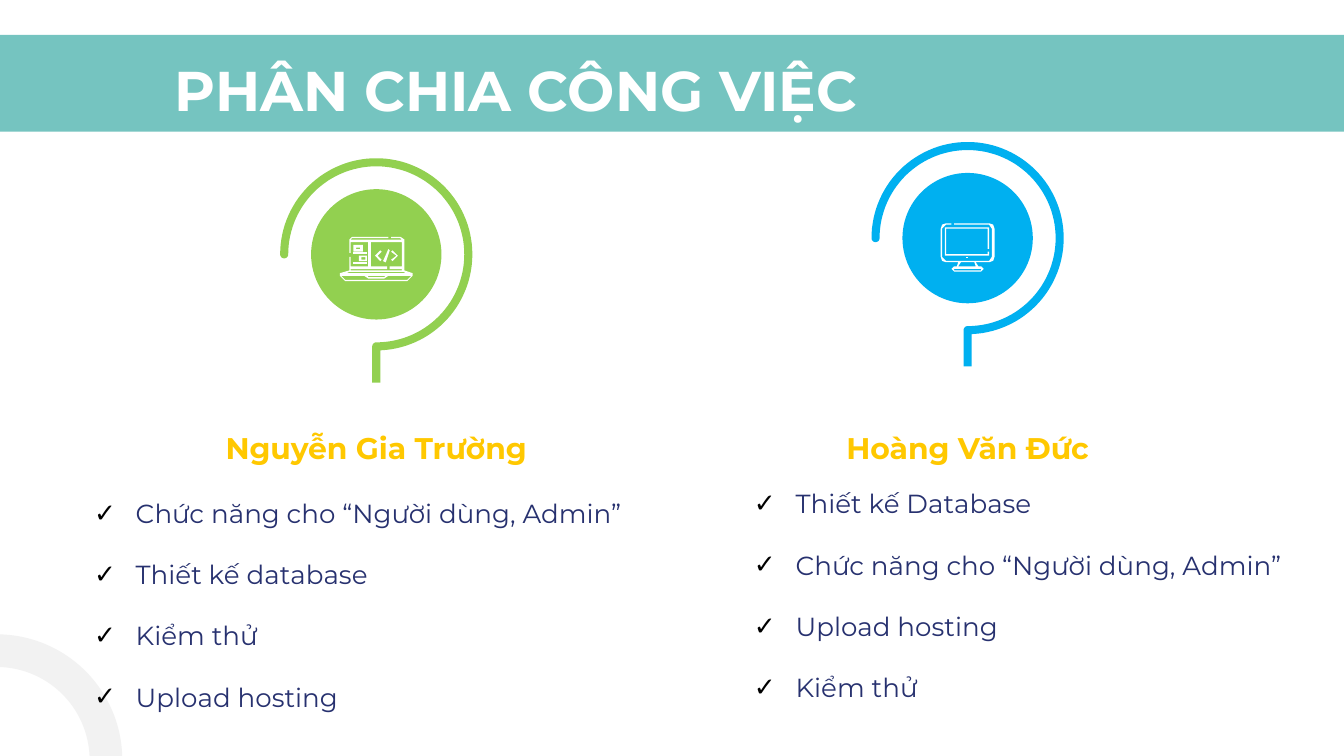
"""Build the slide that shows how the work is shared between two people."""
from math import cos, radians, sin

from lxml.etree import SubElement as Sub
from pptx import Presentation
from pptx.dml.color import RGBColor
from pptx.enum.shapes import MSO_SHAPE as Kind
from pptx.enum.text import MSO_ANCHOR as Anchor, MSO_AUTO_SIZE as Fit, PP_ALIGN as Align
from pptx.oxml.ns import qn
from pptx.util import Inches, Pt

COLS, ROWS = 100, 56.25

MONITOR = [
    [[(-16, -11), (-19, -10), (-20, -7), (-20, 14), (-19, 17), (-16, 18), (-7, 18),
      (-8, 21), (-10, 21), (-12, 23), (-10, 25), (10, 25), (12, 23), (10, 21),
      (8, 21), (6, 18), (16, 18), (19, 17), (20, 14), (20, -7), (19, -10),
      (16, -11), (-10, -11), (-10, -10), (16, -10), (18, -7), (18, 14), (16, 17),
      (-16, 17), (-19, 14), (-19, -7), (-16, -10), (-12, -10), (-12, -11)],
     [(5, 18), (6, 21), (-7, 21), (-5, 18)],
     [(10, 23), (10, 24), (-10, 24), (-10, 23)]],
    [[(-17, -8), (16, -8), (16, 8), (15, 8), (15, -7), (-16, -7), (-16, 12),
      (15, 12), (15, 10), (16, 10), (16, 13), (-17, 13)]],
    [[(-1, 14), (0, 14), (0, 15), (-1, 15)]],
]


def block(left, top, right, base):
    """Give the corners of an upright rectangle."""
    return [(left, top), (right, top), (right, base), (left, base)]


LAPTOP = [
    [[(-18, -13), (-20, -11), (-20, -1), (-19, -1), (-19, -9), (-6, -9), (-6, 9),
      (-19, 9), (-19, 2), (-20, 2), (-20, 12), (-27, 14), (-27, 16), (-23, 20),
      (23, 20), (27, 16), (27, 14), (21, 12), (21, -11), (18, -13), (11, -13),
      (11, -12), (18, -12), (19, -11), (-19, -11), (-18, -12), (9, -12), (9, -13)],
     [(19, -9), (19, 9), (10, 9), (10, 11), (19, 11), (19, 12), (-19, 12),
      (-19, 11), (8, 11), (8, 9), (-4, 9), (-4, -9)],
     [(20, 13), (22, 14), (-22, 14), (-20, 13)],
     [(7, 16), (6, 17), (-6, 17), (-6, 16)],
     [(26, 16), (23, 19), (-23, 19), (-26, 16), (-9, 16), (-6, 18), (6, 18), (9, 16)]],
    [block(-17, -7, -10, -2), block(-15, -5, -12, -4)],
    [block(-17, -2, -7, 0)],
    [block(-13, 1, -7, 5), block(-11, 2, -8, 4)],
    [block(-17, 6, -7, 7)],
    [[(3, -3), (-1, 1), (3, 5), (4, 4), (1, 1), (4, -2)]],
    [[(12, -3), (11, -2), (15, 1), (11, 4), (12, 5), (16, 1)]],
    [[(9, -4), (5, 5), (7, 6), (10, -3)]],
]


def tint(code):
    """Turn a hex string into a colour."""
    return RGBColor.from_string(code)


def arc(rad, start, stop, step, x=0, y=0):
    """List the points of an arc, angles in degrees clockwise from the right."""
    turns = (radians(deg) for deg in range(start, stop + step, step))
    return [(x + rad * cos(turn), y + rad * sin(turn)) for turn in turns]


class Deck:
    """Hold the style and the current slide."""

    face, ink, gold, white = "Montserrat", "27316F", "FFC800", "FFFFFF"

    def __init__(self):
        """Open a wide deck with one comparison slide."""
        self.show = Presentation()
        self.show.slide_width, self.show.slide_height = Inches(10), Inches(5.625)
        self.slide = self.show.slides.add_slide(self.show.slide_layouts[4])
        self.shapes = self.slide.shapes
        self.cell = self.show.slide_width / COLS

    def span(self, *cells):
        """Turn grid cells into lengths."""
        return [round(cell * self.cell) for cell in cells]

    def paint(self, shape, hue):
        """Give a shape a plain fill."""
        shape.shadow.inherit = False
        shape.fill.solid()
        shape.fill.fore_color.rgb = tint(hue)
        shape.line.fill.background()
        return shape

    def solid(self, kind, box, hue):
        """Add a preset shape."""
        return self.paint(self.shapes.add_shape(kind, *self.span(*box)), hue)

    def outline(self, loops, spot, hue):
        """Add a closed outline, in tenths of a cell around a spot."""
        x, y = spot
        loops = [[self.span(x + a / 10, y + b / 10) for a, b in loop] for loop in loops]
        pen = self.shapes.build_freeform(*loops[0][0])
        pen.add_line_segments(loops[0][1:])
        for loop in loops[1:]:
            pen.move_to(*loop[0])
            pen.add_line_segments(loop[1:])
        self.paint(pen.convert_to_shape(), hue)

    def badge(self, spot, hue, icon):
        """Add a disc with its ring, stem and icon."""
        x, y = spot
        self.solid(Kind.OVAL, (x - 4.85, y - 4.85, 9.7, 9.7), hue)
        hook = arc(71.5, 180, 447, 3) + [(3, 71.5), (3, 95.5), (-3, 95.5)]
        hook += arc(3, 180, 270, 15, 0, 68.5) + arc(65.5, 180, 447, 3)[::-1]
        hook += arc(3, 0, 180, 15, -68.5)
        self.outline([hook], spot, hue)
        for part in icon:
            self.outline(part, spot, self.white)

    def text(self, slot, box, lines, size, hue, bold=False, align=Align.LEFT, tick=""):
        """Fill, place and format a placeholder in front of the shapes."""
        shape = self.slide.placeholders[slot]
        shape.left, shape.top, shape.width, shape.height = self.span(*box)
        shape._element.getparent().append(shape._element)
        frame = shape.text_frame
        frame.text = "\n".join(lines)
        frame.word_wrap, frame.auto_size = True, Fit.NONE
        frame.vertical_anchor = Anchor.TOP
        frame.margin_left = frame.margin_right = Inches(0.1)
        frame.margin_top = frame.margin_bottom = Inches(0.1)
        for para in frame.paragraphs:
            if tick:
                self.mark(para, tick)
            para.alignment, para.line_spacing = align, 1.0
            para.space_before, para.space_after = Pt(0), Pt(16 if slot else 0)
            for run in para.runs:
                font = run.font
                font.name, font.size, font.bold = self.face, Pt(size), bold
                font.color.rgb = tint(hue)

    def mark(self, para, tick):
        """Give a paragraph a hanging black bullet."""
        prop = para._p.get_or_add_pPr()
        hang = Inches(0.31)
        prop.set("marL", str(hang))
        prop.set("indent", str(-hang))
        Sub(Sub(prop, qn("a:buClr")), qn("a:srgbClr"), val="000000")
        Sub(prop, qn("a:buChar"), char=tick)

    def person(self, slot, spot, hue, icon, name, box, tasks):
        """Add a badge, a name below it and a list of tasks."""
        self.badge(spot, hue, icon)
        self.text(slot, (spot[0] - 12.3, 31, 24.6, 4.3), [name], 16, self.gold,
                  True, Align.CENTER)
        self.text(slot + 1, box, tasks, 14, self.ink, tick="✓")


def main():
    """Build and save the slide."""
    deck = Deck()
    deck.solid(Kind.RECTANGLE, (-1.7, 2.6, COLS + 3.4, 7.2), "75C4C0")
    curve = deck.solid(Kind.BLOCK_ARC, (-9.6, ROWS - 9.05, 18.7, 18.7), "F2F2F2")
    for spot, value in enumerate((161.65, 1.04, 0.13)):
        curve.adjustments[spot] = value
    deck.text(0, (12, 3.1, 84.6, 6.3), ["PHÂN CHIA CÔNG VIỆC"], 30, deck.white, True)
    both = "Chức năng cho “Người dùng, Admin”"
    deck.person(1, (28, 18.93), "92D050", LAPTOP, "Nguyễn Gia Trường",
                (6, 36, 44.8, 19.3),
                [both, "Thiết kế database", "Kiểm thử", "Upload hosting"])
    deck.person(3, (72, 17.72), "00B0F0", MONITOR, "Hoàng Văn Đức",
                (55.1, 35.3, 43.6, 14.1),
                ["Thiết kế Database", both, "Upload hosting", "Kiểm thử"])
    deck.show.save("out.pptx")


if __name__ == "__main__":
    main()
